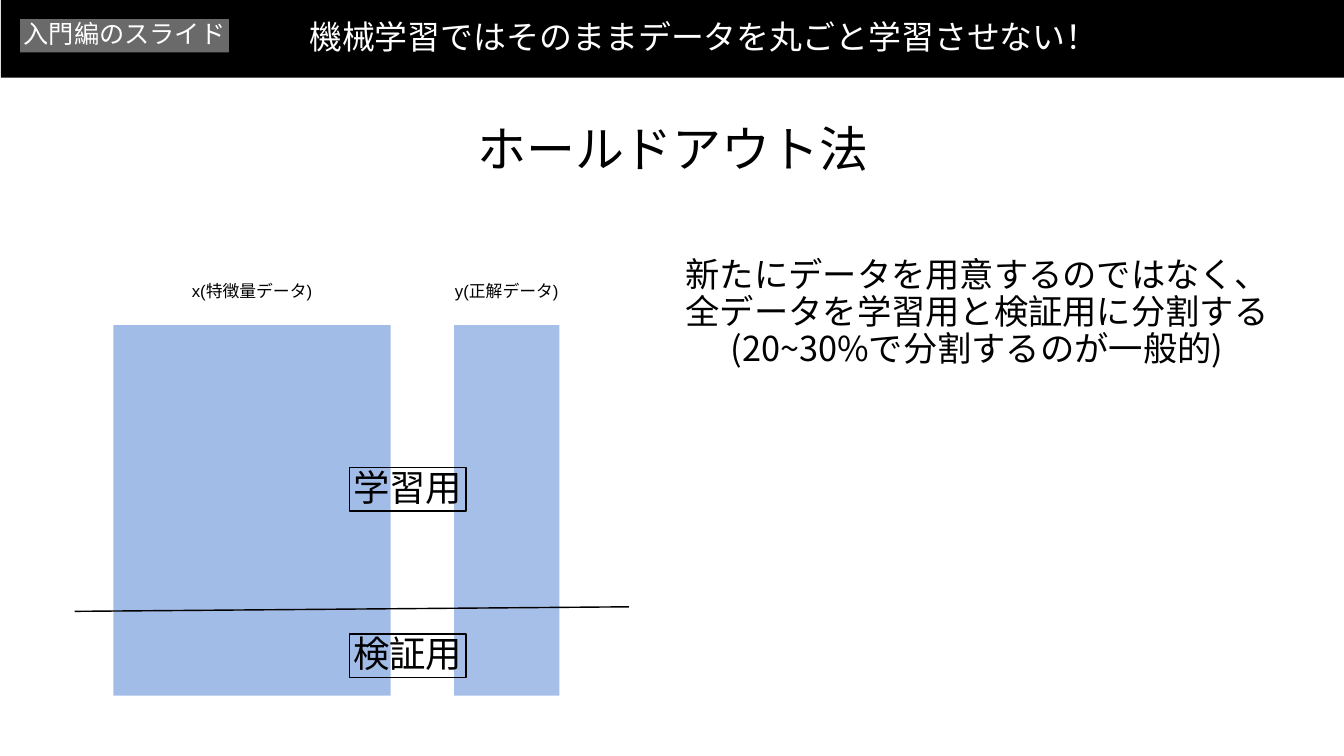
from lxml import etree
from pptx import Presentation
from pptx.dml.color import RGBColor
from pptx.enum import shapes, text
from pptx.oxml import ns
from pptx.util import Inches, Pt

BLACK = RGBColor(0, 0, 0)
WHITE = RGBColor(0xFF, 0xFF, 0xFF)
GRAY = RGBColor(0x6A, 0x6A, 0x6A)
BLUE = RGBColor(0x3E, 0x74, 0xD1)
LATIN = "Arial"
JAPANESE = "Noto Sans CJK JP"

DATA_TOP, DATA_HEIGHT = 6.45, 7.35
DATA_COLUMNS = [
    (2.25, 5.5, 48),
    (9.01, 2.09, 46),
]
COLUMN_LABELS = [
    ("x(特徴量データ)", 3.39, 3.22),
    ("y(正解データ)", 8.65, 2.81),
]
SPLIT_LABELS = [("学習用", 9.28), ("検証用", 12.58)]
SPLIT_LINE = (1.48, 12.13, 12.48, 12.04)
TITLE = ["ホールドアウト法"]
EXPLANATION = [
    "新たにデータを用意するのではなく、",
    "全データを学習用と検証用に分割する",
    "(20~30%で分割するのが一般的)",
]
HEADER = ["機械学習ではそのままデータを丸ごと学習させない！"]
TAG = ["入門編のスライド"]


def add_rectangle(page, place, fill=None, alpha=None, outlined=False):
    box = page.shapes.add_shape(
        shapes.MSO_SHAPE.RECTANGLE, *[Inches(value) for value in place])
    box.shadow.inherit = False
    if fill is None:
        box.fill.background()
    else:
        box.fill.solid()
        box.fill.fore_color.rgb = fill
    if alpha is not None:
        color = box.fill._xPr.find(".//" + ns.qn("a:srgbClr"))
        etree.SubElement(color, ns.qn("a:alpha"), val=str(alpha * 1000))
    if outlined:
        box.line.color.rgb = BLACK
        box.line.width = Pt(2)
    else:
        box.line.fill.background()
    return box


def add_text_box(page, place):
    return page.shapes.add_textbox(*[Inches(value) for value in place])


def write(box, lines, size, font=LATIN, color=BLACK, wrap=False):
    frame = box.text_frame
    frame.word_wrap = wrap
    frame.auto_size = text.MSO_AUTO_SIZE.SHAPE_TO_FIT_TEXT
    frame.vertical_anchor = text.MSO_ANCHOR.MIDDLE
    frame.margin_left = frame.margin_right = Inches(0.06)
    frame.margin_top = frame.margin_bottom = Inches(0.06)
    for index, line in enumerate(lines):
        para = frame.add_paragraph() if index else frame.paragraphs[0]
        para.alignment = text.PP_ALIGN.CENTER
        para.line_spacing = 0.9
        span = para.add_run()
        span.text = line
        span.font.size = Pt(size)
        span.font.name = font
        span.font.color.rgb = color
        etree.SubElement(span.font._element, ns.qn("a:ea"), typeface=JAPANESE)


def add_split_line(page):
    line = page.shapes.add_connector(
        shapes.MSO_CONNECTOR.STRAIGHT, *[Inches(value) for value in SPLIT_LINE])
    line.line.color.rgb = BLACK
    line.line.width = Pt(2)
    etree.SubElement(line._element.spPr, ns.qn("a:effectLst"))


def main():
    deck = Presentation()
    deck.slide_width, deck.slide_height = Inches(26.67), Inches(15)
    page = deck.slides.add_slide(deck.slide_layouts[6])

    for left, width, alpha in DATA_COLUMNS:
        add_rectangle(page, (left, DATA_TOP, width, DATA_HEIGHT), BLUE, alpha)
    for label, left, width in COLUMN_LABELS:
        write(add_text_box(page, (left, 5.53, width, 0.53)), [label], 24)
    add_split_line(page)
    for label, top in SPLIT_LABELS:
        box = add_rectangle(page, (6.93, top, 2.32, 0.86), outlined=True)
        write(box, [label], 52)

    write(add_text_box(page, (9.37, 2.42, 7.97, 1.17)), TITLE, 70, JAPANESE)
    write(add_text_box(page, (13.49, 5.04, 11.79, 2.34)), EXPLANATION, 49, JAPANESE)

    add_rectangle(page, (0.02, -0.01, 26.67, 1.55), BLACK)
    header = add_rectangle(page, (4.27, 0.36, 19.41, 0.82), BLACK)
    write(header, HEADER, 47, JAPANESE, WHITE, wrap=True)
    tag = add_rectangle(page, (0.4, 0.38, 4.14, 0.66), GRAY)
    write(tag, TAG, 36, color=WHITE, wrap=True)

    deck.save("out.pptx")


if __name__ == "__main__":
    main()
